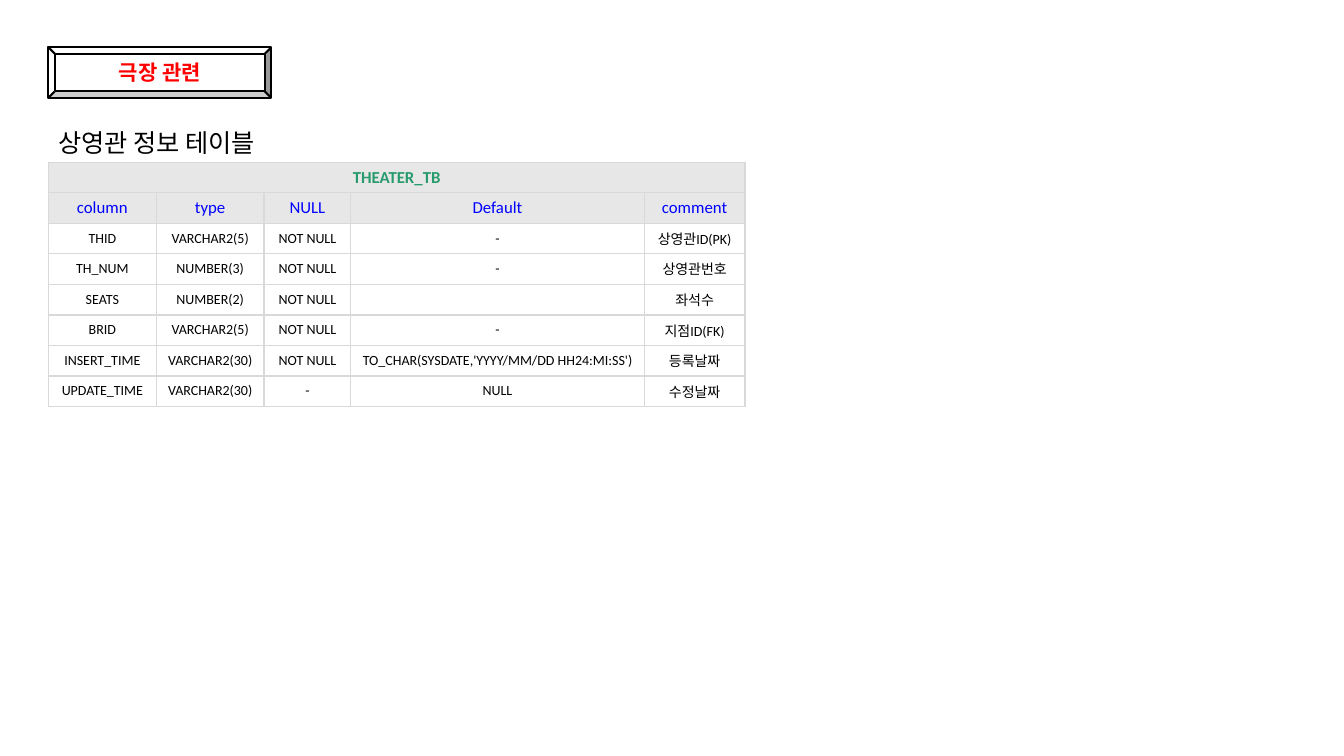
"""Builds a slide that describes the columns of the THEATER_TB table."""
from lxml import etree
from pptx import Presentation
from pptx.dml.color import RGBColor
from pptx.enum import shapes, text
from pptx.oxml.ns import qn
from pptx.util import Inches, Pt

COLORS = {"white": "FFFFFF", "black": "000000", "red": "FF0000", "green": "289B6E",
          "blue": "0000FF", "header": "E7E7E7", "border": "D9D9D9"}
STYLES = {
    "badge": ({"size": Pt(15), "bold": True}, "red"),
    "caption": ({"size": Pt(18), "bold": False}, "black"),
    "title": ({"size": Pt(12), "bold": True}, "green"),
    "head": ({"size": Pt(12), "bold": False}, "blue"),
    "body": ({"size": Pt(10), "bold": False}, "black"),
}
COLUMN_WIDTHS = [1.07, 1.07, 0.86, 2.91, 1]
ROW_HEIGHT = 2.42 / 8
ROWS = [
    ["THEATER_TB", "", "", "", ""],
    ["column", "type", "NULL", "Default", "comment"],
    ["THID", "VARCHAR2(5)", "NOT NULL", "-", "상영관ID(PK)"],
    ["TH_NUM", "NUMBER(3)", "NOT NULL", "-", "상영관번호"],
    ["SEATS", "NUMBER(2)", "NOT NULL", "", "좌석수"],
    ["BRID", "VARCHAR2(5)", "NOT NULL", "-", "지점ID(FK)"],
    ["INSERT_TIME", "VARCHAR2(30)", "NOT NULL",
     "TO_CHAR(SYSDATE,'YYYY/MM/DD HH24:MI:SS')", "등록날짜"],
    ["UPDATE_TIME", "VARCHAR2(30)", "-", "NULL", "수정날짜"],
]


class SlideBuilder:
    """Holds the font and the current slide."""

    def __init__(self, s, font="Calibri"):
        self.s, self.font = s, font

    def color(self, name):
        """Return the named colour."""
        return RGBColor.from_string(COLORS[name])

    def fill(self, target, name):
        """Give a shape or cell a solid fill."""
        target.fill.solid()
        target.fill.fore_color.rgb = self.color(name)

    def label(self, tf, words, style, align=text.PP_ALIGN.CENTER):
        """Set one styled line of text."""
        p = tf.paragraphs[0]
        p.alignment = align
        r = p.add_run()
        r.text = words
        values, color = STYLES[style]
        for key, value in {"name": self.font, **values}.items():
            setattr(r.font, key, value)
        r.font.color.rgb = self.color(color)

    def badge(self, words, *box):
        """Add a bevelled label."""
        sp = self.s.shapes.add_shape(shapes.MSO_SHAPE.BEVEL, *map(Inches, box))
        sp.shadow.inherit = False
        self.fill(sp, "white")
        sp.line.color.rgb = self.color("black")
        sp.line.width = Pt(1.5)
        sp.text_frame.vertical_anchor = text.MSO_ANCHOR.MIDDLE
        self.label(sp.text_frame, words, "badge")

    def caption(self, words, *box):
        """Add a wrapped text box."""
        tf = self.s.shapes.add_textbox(*map(Inches, box)).text_frame
        tf.word_wrap = True
        tf.auto_size = text.MSO_AUTO_SIZE.SHAPE_TO_FIT_TEXT
        self.label(tf, words, "caption", text.PP_ALIGN.LEFT)

    def borders(self, cell):
        """Draw the four borders of a cell."""
        tcPr = cell._tc.get_or_add_tcPr()
        for i, side in enumerate(("lnL", "lnR", "lnT", "lnB")):
            ln = etree.Element(qn(f"a:{side}"), w=str(Pt(1)))
            solid = etree.SubElement(ln, qn("a:solidFill"))
            etree.SubElement(solid, qn("a:srgbClr"), val=COLORS["border"])
            tcPr.insert(i, ln)

    def table(self, rows, left, top):
        """Add the table with its merged title row."""
        size = sum(COLUMN_WIDTHS), ROW_HEIGHT * len(rows)
        tbl = self.s.shapes.add_table(len(rows), len(COLUMN_WIDTHS),
                                      *map(Inches, (left, top, *size))).table
        tbl.first_row = tbl.horz_banding = False
        for column, width in zip(tbl.columns, COLUMN_WIDTHS):
            column.width = Inches(width)
        margins = {"margin_left": Inches(0.05), "margin_right": Inches(0.05),
                   "margin_top": 0, "margin_bottom": 0,
                   "vertical_anchor": text.MSO_ANCHOR.MIDDLE}
        for i, row in enumerate(rows):
            tbl.rows[i].height = Inches(ROW_HEIGHT)
            style = ("title", "head")[i] if i < 2 else "body"
            for j, words in enumerate(row):
                cell = tbl.cell(i, j)
                for key, value in margins.items():
                    setattr(cell, key, value)
                self.fill(cell, "header" if i < 2 else "white")
                self.borders(cell)
                if words:
                    self.label(cell.text_frame, words, style)
        tbl.cell(0, 0).merge(tbl.cell(0, len(COLUMN_WIDTHS) - 1))


def main():
    """Build and save the slide."""
    prs = Presentation()
    prs.slide_width, prs.slide_height = Inches(13.33), Inches(7.5)
    slide = SlideBuilder(prs.slides.add_slide(prs.slide_layouts[6]))
    slide.badge("극장 관련", 0.48, 0.47, 2.21, 0.5)
    slide.table(ROWS, 0.48, 1.61)
    slide.caption("상영관 정보 테이블", 0.48, 1.21, 2.98, 0.4)
    prs.save("out.pptx")


if __name__ == "__main__":
    main()
